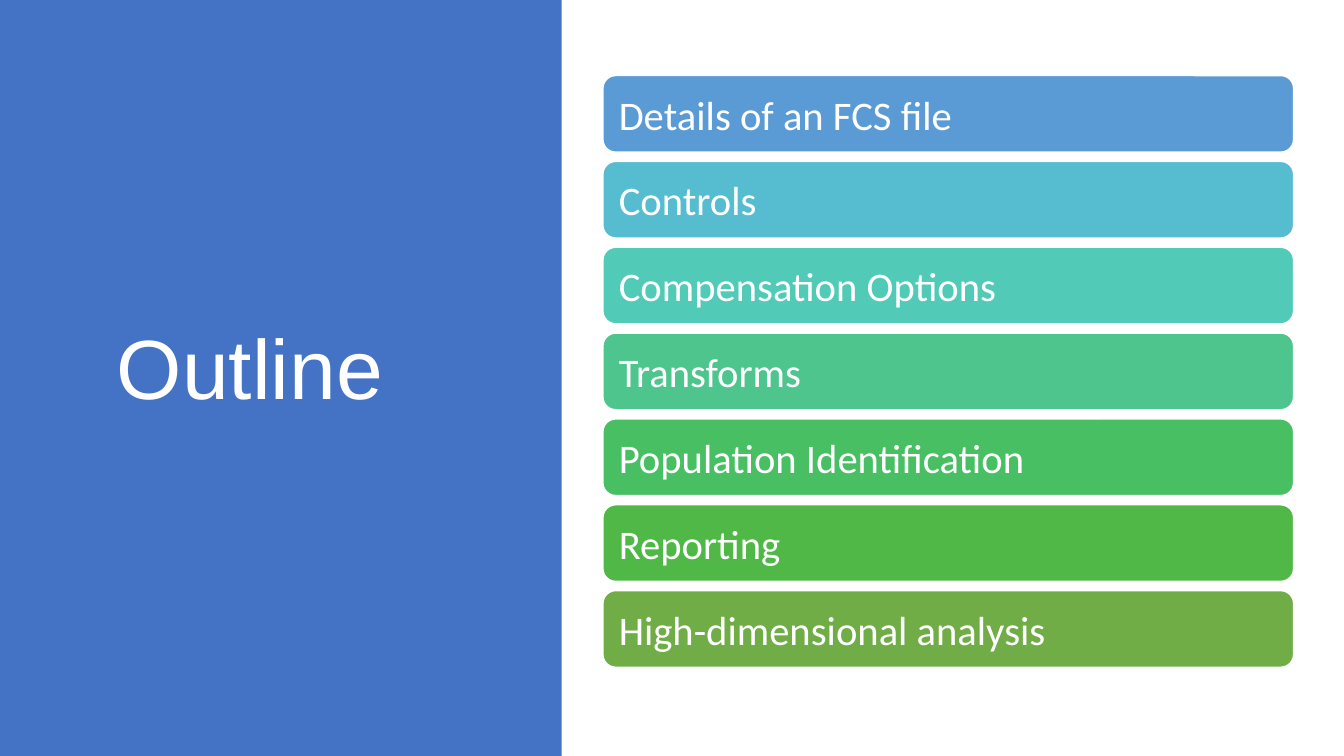
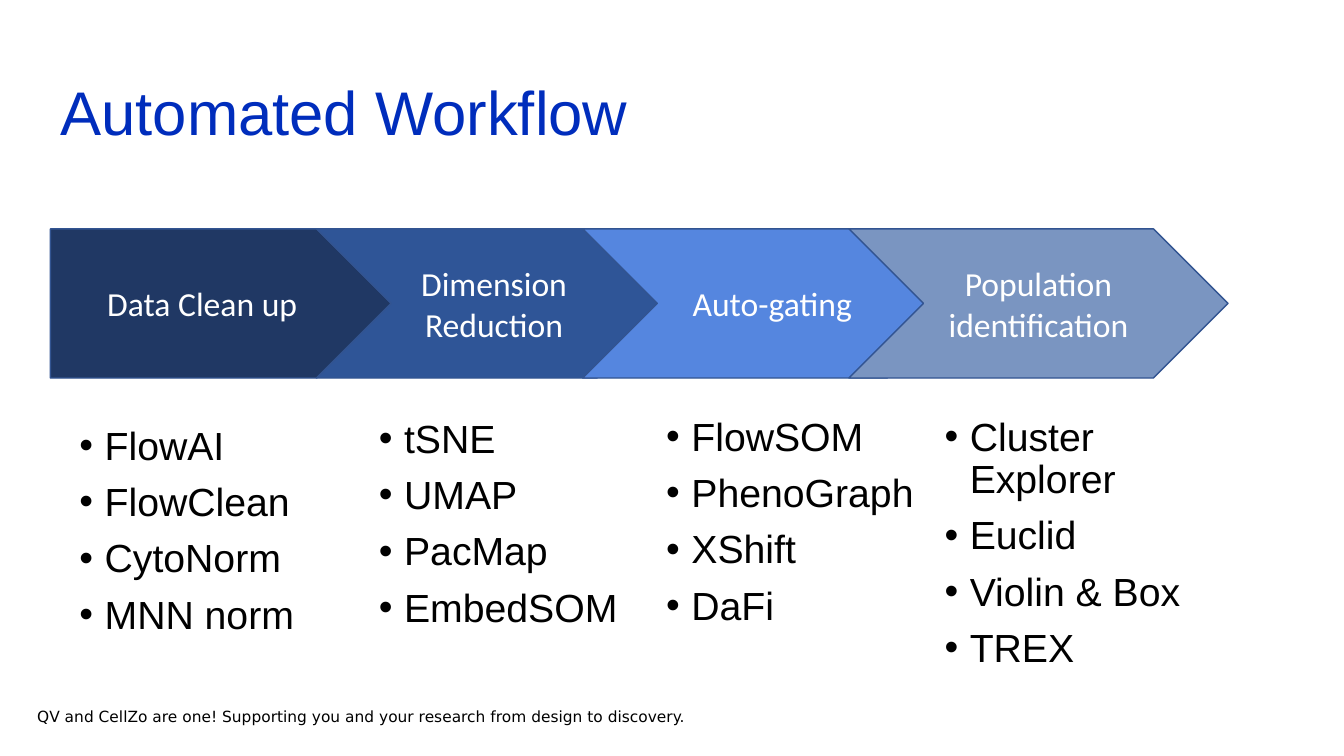
from pptx import Presentation
from pptx.dml.color import RGBColor
from pptx.enum.shapes import MSO_SHAPE
from pptx.enum.text import MSO_ANCHOR, PP_ALIGN
from pptx.oxml.ns import qn
from pptx.util import Emu, Pt
from lxml.etree import SubElement

SCALE = 9144
WIDE, HIGH = 1333, 750
HUES = {
    "white": "FFFFFF", "black": "000000", "panel": "4472C4",
    "title": "002DBC", "edge": "325491",
}
TOPICS = [
    ("Details of an FCS file", "5B9BD5"),
    ("Controls", "56BCD0"),
    ("Compensation Options", "52CAB8"),
    ("Transforms", "4DC58D"),
    ("Population Identification", "49BF64"),
    ("Reporting", "50B846"),
    ("High-dimensional analysis", "70AD47"),
]
STEPS = [
    ("Data Clean up", "203864", 338),
    ("Dimension Reduction", "2F5597", 352),
    ("Auto-gating", "5586DF", 376),
    ("Population identification", "7A95C1", 376),
]
TOOLS = [
    ((69, 418, 274, 235), ["FlowAI", "FlowClean", "CytoNorm", "MNN norm"]),
    ((366, 411, 261, 191), ["tSNE", "UMAP", "PacMap", "EmbedSOM"]),
    ((651, 409, 303, 279), ["FlowSOM", "PhenoGraph", "XShift", "DaFi"]),
    ((927, 409, 315, 243),
     ["Cluster Explorer", "Euclid", "Violin & Box", "TREX"]),
]
MOTTO = ("QV and CellZo are one! Supporting you and your research "
         "from design to discovery.")


def px(*nums):
    """Turn px lengths into EMU."""
    return [Emu(round(num * SCALE)) for num in nums]


def paint(hue):
    """Look up a named colour or take a hex string."""
    return RGBColor.from_string(HUES.get(hue, hue))


def style(para, font, size, hue, align=PP_ALIGN.LEFT, lead=None):
    """Format a paragraph and its runs."""
    para.alignment = align
    if lead:
        para.line_spacing = lead
    for run in para.runs:
        run.font.name = font
        run.font.size = Pt(size)
        run.font.color.rgb = paint(hue)


def block(slide, kind, box, fill, edge=None):
    """Add a flat preset shape."""
    shape = slide.shapes.add_shape(kind, *px(*box))
    shape.shadow.inherit = False
    shape.fill.solid()
    shape.fill.fore_color.rgb = paint(fill)
    if edge:
        shape.line.color.rgb = paint(edge)
        shape.line.width = Pt(1)
    else:
        shape.line.fill.background()
    return shape


def label(shape, text, size, align):
    """Write white text in the middle of a shape."""
    frame = shape.text_frame
    frame.word_wrap = True
    frame.vertical_anchor = MSO_ANCHOR.MIDDLE
    frame.text = text
    style(frame.paragraphs[0], "Calibri", size, "white", align)


def title(slide, text, box, size, hue):
    """Place and format the title."""
    head = slide.shapes.title
    head.left, head.top, head.width, head.height = px(*box)
    frame = head.text_frame
    frame.text = text
    frame.vertical_anchor = MSO_ANCHOR.MIDDLE
    style(frame.paragraphs[0], "Arial", size, hue, lead=0.9)


def panel(slide, box):
    """Put a plain band behind the title."""
    band = block(slide, MSO_SHAPE.RECTANGLE, box, "panel")
    slide.shapes.title._element.addprevious(band._element)


def stack(slide, box, bar=76):
    """Spread the topic bars evenly down a box."""
    left, top, wide, high = box
    step = (high - bar) / (len(TOPICS) - 1)
    for i, (text, fill) in enumerate(TOPICS):
        place = (left, top + i * step, wide, bar)
        shape = block(slide, MSO_SHAPE.ROUNDED_RECTANGLE, place, fill, "white")
        label(shape, text, 29, PP_ALIGN.LEFT)
        shape.text_frame.margin_left = px(12)[0]


def chain(slide, left, top, high, step=264):
    """Lay out the overlapping workflow arrows."""
    for i, (text, fill, wide) in enumerate(STEPS):
        kind = MSO_SHAPE.CHEVRON if i else MSO_SHAPE.PENTAGON
        place = (left + i * step, top, wide, high)
        shape = block(slide, kind, place, fill, "edge")
        label(shape, text, 24, PP_ALIGN.CENTER)


def bullets(slide, box, items):
    """Add a bulleted list."""
    frame = slide.shapes.add_textbox(*px(*box)).text_frame
    frame.word_wrap = True
    frame.text = "\n".join(items)
    for i, para in enumerate(frame.paragraphs):
        props = para._p.get_or_add_pPr()
        props.set("marL", str(25 * SCALE))
        props.set("indent", str(-25 * SCALE))
        SubElement(props, qn("a:buFont")).set("typeface", "Arial")
        SubElement(props, qn("a:buChar")).set("char", "•")
        style(para, "Arial", 28, "black", lead=0.9)
        if i:
            para.space_before = Pt(10)


def footer(slide, box):
    """Add the motto at the foot."""
    frame = slide.shapes.add_textbox(*px(*box)).text_frame
    frame.word_wrap = True
    frame.text = MOTTO
    style(frame.paragraphs[0], "DejaVu Sans", 11, "black")


def outline(slide):
    """Build the outline slide."""
    title(slide, "Outline", (106, 68, 368, 602), 60, "white")
    panel(slide, (0, 0, 557, HIGH))
    stack(slide, (598, 75, 685, 587))


def workflow(slide):
    """Build the workflow slide."""
    title(slide, "Automated Workflow", (50, 42, 1150, 145), 44, "title")
    footer(slide, (27, 697, 679, 61))
    chain(slide, 50, 227, 148)
    for box, items in TOOLS:
        bullets(slide, box, items)


def main():
    """Build and save the deck."""
    deck = Presentation()
    deck.slide_width, deck.slide_height = px(WIDE, HIGH)
    for build in (outline, workflow):
        build(deck.slides.add_slide(deck.slide_layouts[5]))
    deck.save("out.pptx")


if __name__ == "__main__":
    main()
